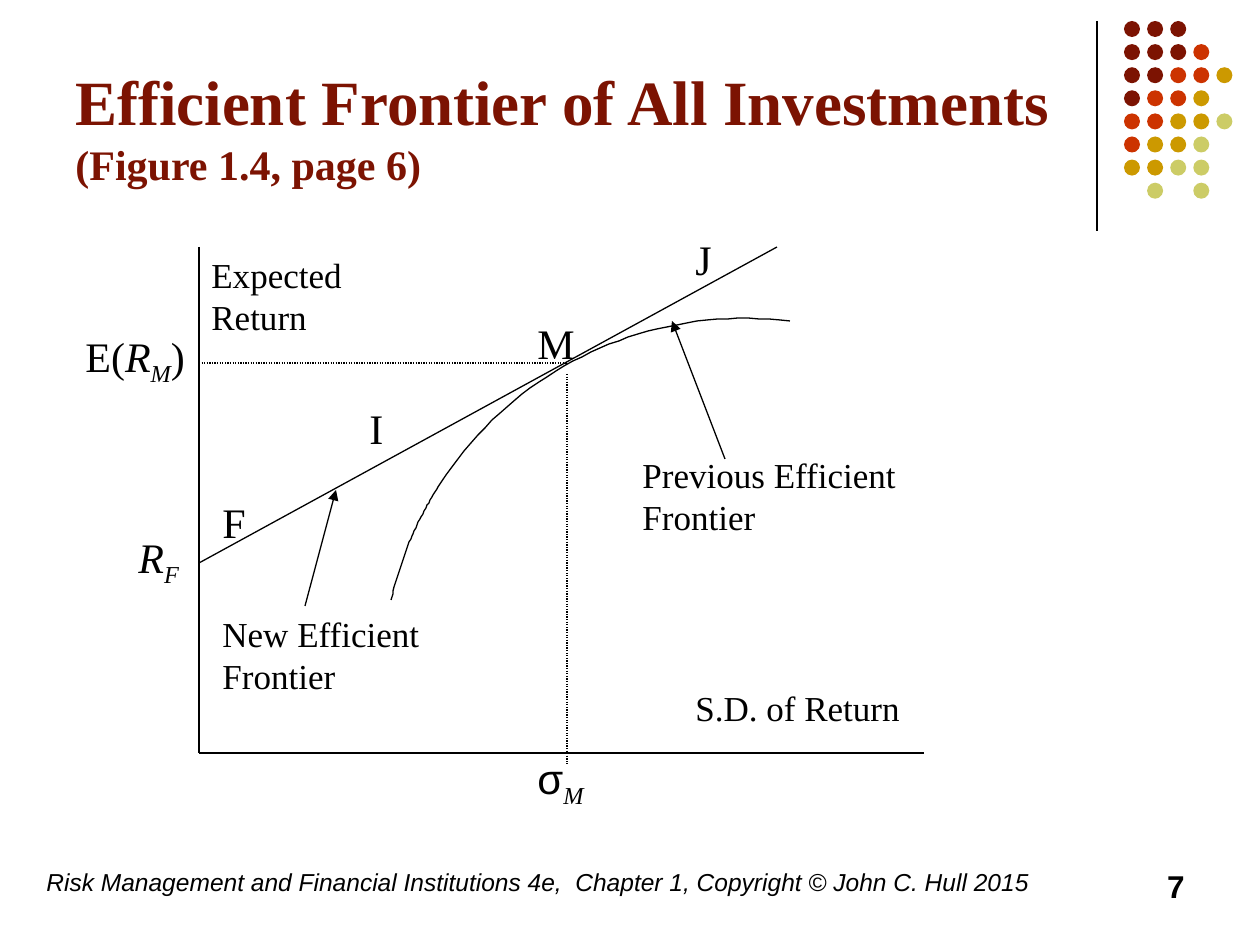
from lxml import etree
from pptx import Presentation
from pptx.dml.color import RGBColor
from pptx.enum.dml import MSO_LINE
from pptx.enum.shapes import MSO_CONNECTOR, MSO_SHAPE
from pptx.enum.text import MSO_ANCHOR, PP_ALIGN
from pptx.oxml.ns import qn
from pptx.util import Pt

STRAIGHT, OVAL = MSO_CONNECTOR.STRAIGHT, MSO_SHAPE.OVAL
DOTTED = MSO_LINE.ROUND_DOT
LEFT, RIGHT = PP_ALIGN.LEFT, PP_ALIGN.RIGHT
TOP, BOTTOM = MSO_ANCHOR.TOP, MSO_ANCHOR.BOTTOM
PX = 914400 / 126
SERIF, SANS = "Times New Roman", "Arial"
BLACK, MAROON = "000000", "7C1302"

color = RGBColor.from_string

prs = Presentation()
prs.slide_width, prs.slide_height = round(1260 * PX), round(945 * PX)
slide = prs.slides.add_slide(prs.slide_layouts[6])
shapes = slide.shapes


def add_line(x1, y1, x2, y2, dash=None, arrow=False):
    ends = [round(v * PX) for v in (x1, y1, x2, y2)]
    line = shapes.add_connector(STRAIGHT, *ends)
    line.line.color.rgb = color(BLACK)
    line.line.width = Pt(0.75)
    if dash:
        line.line.dash_style = dash
    if arrow:
        tail = etree.SubElement(line.line._get_or_add_ln(), qn("a:tailEnd"))
        tail.set("type", "triangle")
    etree.SubElement(line._element.spPr, qn("a:effectLst"))


def add_text(x, y, w, h, runs, size, font=SERIF, tint=BLACK,
             align=LEFT, anchor=TOP, pitch=None):
    """Each run is (text, style); style holds b, i or s (subscript)."""
    box = shapes.add_textbox(*[round(v * PX) for v in (x, y, w, h)])
    frame = box.text_frame
    frame.word_wrap = True
    frame.vertical_anchor = anchor
    para = frame.paragraphs[0]
    para.alignment = align
    if pitch:
        para.line_spacing = Pt(pitch)
    for text, style in runs:
        run = para.add_run()
        run.text = text
        run.font.name = font
        run.font.size = Pt(size)
        run.font.color.rgb = color(tint)
        run.font.bold = "b" in style
        run.font.italic = "i" in style
        if "s" in style:
            run.font._element.set("baseline", "-25000")
    return para


# Corner rule and dot grid
add_line(1097, 21, 1097, 231)
tints = {"M": MAROON, "R": "CC3300", "G": "CC9900", "L": "CCCC66"}
grid = ["MMM", "MMMR", "MMRRG", "MRRG", "RRGGL", "RGGL", "GGLL", " L L"]
for row, marks in enumerate(grid):
    for col, mark in enumerate(marks):
        if mark == " ":
            continue
        x, y = 1124 + 23.1 * col, 21 + 23.1 * row
        dot = shapes.add_shape(OVAL, round(x * PX), round(y * PX),
                               round(16 * PX), round(16 * PX))
        dot.shadow.inherit = False
        dot.fill.solid()
        dot.fill.fore_color.rgb = color(tints[mark])
        dot.line.fill.background()

# Title and footer
title = add_text(63, 16, 1040, 179,
                 [("Efficient Frontier of All Investments ", "b"),
                  ("(Figure 1.4, page 6)", "b")],
                 36, tint=MAROON, anchor=BOTTOM)
title.runs[1].font.size = Pt(24)
add_text(34, 861, 1042, 63,
         [("Risk Management and Financial Institutions 4e,  Chapter 1, "
           "Copyright © John C. Hull 2015", "i")], 14, SANS)
add_text(903, 861, 294, 63, [("7", "b")], 18, SANS, align=RIGHT)

# Axes and tangent line
add_line(199, 247, 199, 753)
add_line(199, 753, 924, 753)
add_line(199, 563, 777, 247)

# Previous frontier: two Bezier pieces traced as a fine polyline
curve = [(790, 321), (651, 304), (515, 367), (440, 484),
         (417, 519), (401, 558), (391, 600)]
steps = 40
points = []
for start in (0, 3):
    a, b, c, d = curve[start:start + 4]
    for n in range(1, steps + 1):
        t = n / steps
        u = 1 - t
        points.append([u**3 * a[k] + 3 * u * u * t * b[k]
                       + 3 * u * t * t * c[k] + t**3 * d[k] for k in (0, 1)])
pen = shapes.build_freeform(*curve[0], scale=PX)
pen.add_line_segments(points, close=False)
arc = pen.convert_to_shape()
arc.shadow.inherit = False
arc.fill.background()
arc.line.color.rgb = color(BLACK)
arc.line.width = Pt(0.75)

# Words in the chart
words = [
    (199, 247, 199, "Expected Return"),
    (683, 680, 262, "S.D. of Return"),
    (630, 447, 294, "Previous Efficient Frontier"),
    (210, 606, 284, "New Efficient Frontier"),
]
for x, y, w, text in words:
    add_text(x, y, w, 97, [(text, "")], 20, pitch=24)

# Point and axis symbols
marks = [
    (126, 532, 95, [("R", "i"), ("F", "is")]),
    (73, 331, 136, [("E(", ""), ("R", "i"), ("M", "is"), (")", "")]),
    (525, 753, 136, [("σ", ""), ("M", "is")]),
    (210, 490, 63, [("F", "")]),
    (525, 311, 84, [("M", "")]),
    (357, 396, 53, [("I", "")]),
    (683, 227, 53, [("J", "")]),
]
for x, y, w, runs in marks:
    para = add_text(x, y, w, 63, runs, 24, pitch=28.8)
    if runs[0][0] == "σ":
        para.runs[0].font.name = SANS

# Guides to the market point, then pointers to both frontiers
add_line(199, 363, 199, 374, DOTTED)
add_line(199, 363, 567, 363, DOTTED)
add_line(567, 374, 567, 764, DOTTED)
add_line(725, 459, 672, 321, arrow=True)
add_line(305, 606, 336, 490, arrow=True)

prs.save("out.pptx")
